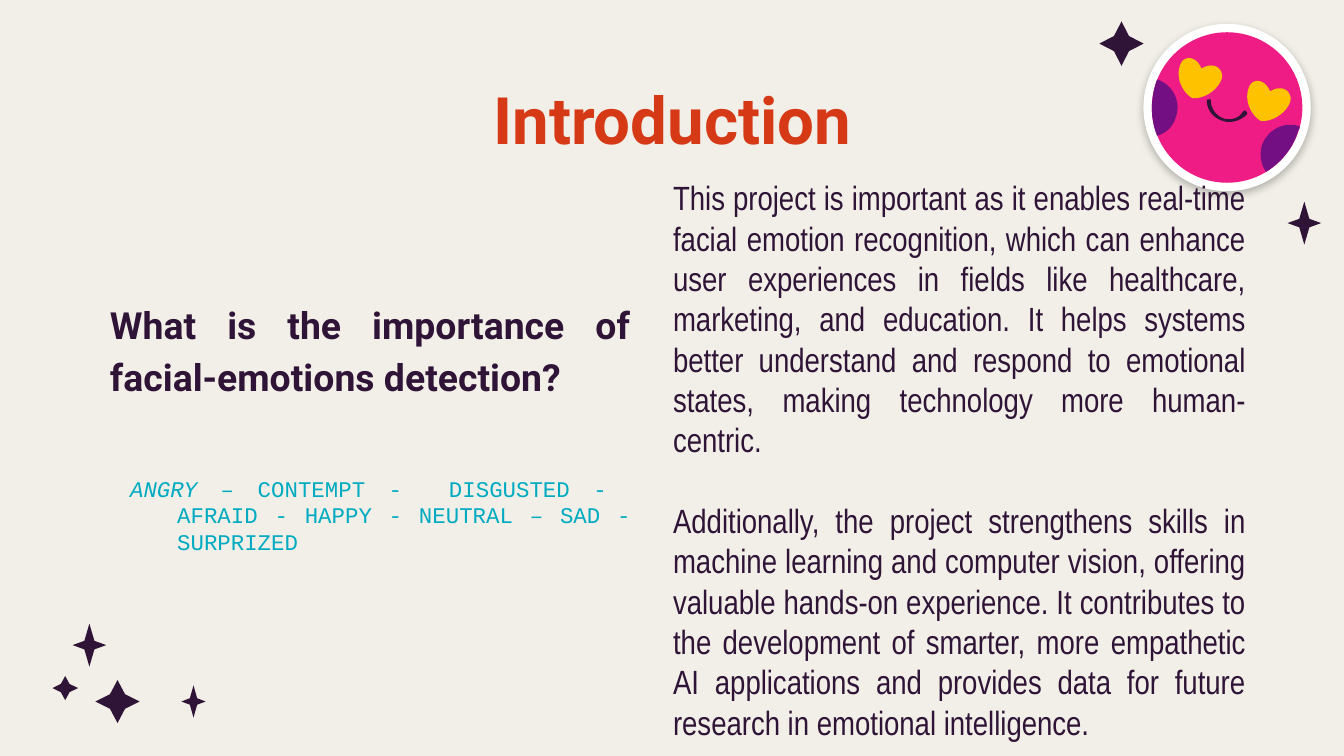
import pptx
import pptx.util
import pptx.dml.color
import pptx.enum.shapes
import pptx.enum.text
import pptx.oxml
import pptx.oxml.ns

CELL = pptx.util.Inches(0.1)
INK, TEAL, RED = "2F1437", "00ABC1", "D53915"
PINK, PLUM, GOLD = "EF1C85", "730F83", "FEC200"
ALIGN = pptx.enum.text.PP_ALIGN
ANCHOR = pptx.enum.text.MSO_ANCHOR

WIDE = (0.34, 0.34)
SLIM = (0.3, 0.2)
STARS = [
    (8.75, 52.2, 1.65, 1.6, WIDE),
    (4.85, 51.2, 0.95, 0.9, WIDE),
    (97.05, 16.6, 1.25, 1.6, SLIM),
    (6.65, 48, 1.25, 1.6, SLIM),
    (83.45, 3.25, 1.65, 1.65, WIDE),
    (14.4, 52.2, 0.9, 1.2, SLIM),
]

FACE = (91.3, 8)
SMILE = [
    (-0.3, 1),
    (-1, 0.8, -1.5, 0.2, -1.5, -0.5),
    (-1.5, -0.6, -1.4, -0.6, -1.3, -0.6),
    (-1.2, -0.6, -1.2, -0.6, -1.2, -0.5),
    (-1.2, 0.1, -0.8, 0.6, -0.3, 0.8),
    (0.3, 1, 0.9, 0.8, 1.2, 0.3),
    (1.3, 0.2, 1.4, 0.2, 1.4, 0.3),
    (1.5, 0.3, 1.5, 0.4, 1.5, 0.5),
    (1, 1, 0.3, 1.2, -0.3, 1),
]
RIGHT = [
    (2.6, 2.8),
    (2.4, 3.5, 2.5, 4.2, 2.9, 4.8),
    (4, 4.1, 4.9, 3.1, 5.3, 1.7),
    (5.4, 1.6, 5.4, 1.5, 5.4, 1.4),
    (4.2, 1, 3, 1.7, 2.6, 2.8),
]
LEFT = [
    (-5.2, -2.1),
    (-5.2, -2, -5.3, -1.9, -5.3, -1.8),
    (-5.7, -0.5, -5.7, 0.9, -5.2, 2.1),
    (-4.5, 1.9, -4, 1.4, -3.8, 0.7),
    (-3.4, -0.4, -4, -1.7, -5.2, -2.1),
]
HEART = [
    (-1.9, -2.9),
    (-2.3, -3.9, -3.3, -3.9, -3.5, -3.1),
    (-3.8, -2.3, -3.4, -1.2, -2.6, -0.7),
    (-1.7, -0.6, -0.7, -1.3, -0.4, -2.1),
    (-0.2, -2.8, -0.9, -3.5, -1.9, -2.9),
]

MOODS = [
    ("ANGRY – ", True), ("CONTEMPT -  DISGUSTED -  AFRAID", False),
    (" - ", True), ("HAPPY", False), (" - ", True), ("NEUTRAL", False),
    (" – ", True), ("SAD - SURPRIZED", False),
]
ASK = "What is the importance of facial-emotions detection?"
WHY = (
    "This project is important as it enables real-time facial emotion "
    "recognition, which can enhance user experiences in fields like "
    "healthcare, marketing, and education. It helps systems better "
    "understand and respond to emotional states, making technology more "
    "human-centric."
)
ALSO = (
    "Additionally, the project strengthens skills in machine learning and "
    "computer vision, offering valuable hands-on experience. It contributes "
    "to the development of smarter, more empathetic AI applications and "
    "provides data for future research in emotional intelligence."
)


def grid(n):
    return round(n * CELL)


def paint(fill, color):
    fill.solid()
    fill.fore_color.rgb = pptx.dml.color.RGBColor.from_string(color)


def finish(shape, color):
    shape.shadow.inherit = False
    paint(shape.fill, color)
    shape.line.fill.background()
    return shape


def outline(slide, points, color):
    dots = [(grid(x), grid(y)) for x, y in points]
    pen = slide.shapes.build_freeform(*dots[0])
    pen.add_line_segments(dots[1:], close=True)
    return finish(pen.convert_to_shape(), color)


def star(slide, x, y, wide, high, waist):
    inx, iny = wide * waist[0], high * waist[1]
    points = [(0, -high), (inx, -iny), (wide, 0), (inx, iny),
              (0, high), (-inx, iny), (-wide, 0), (-inx, -iny)]
    outline(slide, [(x + a, y + b) for a, b in points], INK)


def curve(slide, parts, color, dx=0, dy=0, steps=12):
    points = [parts[0]]
    for ax, ay, bx, by, cx, cy in parts[1:]:
        sx, sy = points[-1]
        for i in range(1, steps + 1):
            t = i / steps
            u = 1 - t
            points.append(tuple(
                u**3 * s + 3 * u * u * t * a + 3 * u * t * t * b + t**3 * c
                for s, a, b, c in ((sx, ax, bx, cx), (sy, ay, by, cy))
            ))
    outline(slide, [(x + FACE[0] + dx, y + FACE[1] + dy) for x, y in points], color)


def disc(slide, radius, color):
    x, y = FACE
    kind = pptx.enum.shapes.MSO_SHAPE.OVAL
    size = grid(2 * radius)
    shape = slide.shapes.add_shape(kind, grid(x - radius), grid(y - radius), size, size)
    return finish(shape, color)


def shade(shape):
    spot = shape._element.spPr.find(pptx.oxml.ns.qn("a:effectLst"))
    spot.append(pptx.oxml.parse_xml(
        f'<a:outerShdw {pptx.oxml.ns.nsdecls("a")} blurRad="57150" dist="19050" '
        'dir="5400000" algn="bl" rotWithShape="0"><a:srgbClr val="000000">'
        '<a:alpha val="25000"/></a:srgbClr></a:outerShdw>'
    ))


def emoji(slide):
    rim = disc(slide, 5.6, "FFFFFF")
    paint(rim.line.fill, "FFFFFF")
    rim.line.width = pptx.util.Pt(9)
    shade(rim)
    disc(slide, 5.6, PINK)
    curve(slide, SMILE, INK)
    curve(slide, RIGHT, PLUM)
    curve(slide, HEART, GOLD)
    curve(slide, HEART, GOLD, dx=5.1, dy=1.7)
    curve(slide, LEFT, PLUM)


def box(slide, x, y, wide, high, top=1, anchor=ANCHOR.TOP):
    frame = slide.shapes.add_textbox(*map(grid, (x, y, wide, high))).text_frame
    frame.word_wrap = True
    frame.vertical_anchor = anchor
    frame.margin_left = frame.margin_right = frame.margin_bottom = grid(1)
    frame.margin_top = grid(top)
    return frame


def write(para, text, size=18, font="Arial Narrow", color=INK, bold=False,
          align=ALIGN.JUSTIFY, lead=None, before=0, indent=None):
    para.alignment = align
    para.space_before = pptx.util.Pt(before)
    if lead:
        para.line_spacing = lead
    if indent:
        props = para._p.get_or_add_pPr()
        props.set("marL", str(grid(indent[0])))
        props.set("indent", str(grid(indent[1])))
    for words, slant in [(text, False)] if isinstance(text, str) else text:
        run = para.add_run()
        run.text = words
        run.font.name = font
        run.font.size = pptx.util.Pt(size)
        run.font.bold = bold
        run.font.italic = slant
        paint(run.font.fill, color)


def main():
    deck = pptx.Presentation()
    deck.slide_width, deck.slide_height = grid(100), grid(56.25)
    slide = deck.slides.add_slide(deck.slide_layouts[6])
    paint(slide.background.fill, "F1EFE7")
    for item in STARS:
        star(slide, *item)

    left = box(slide, 7.2, 17, 40.7, 27.3, top=5)
    write(left.paragraphs[0], ASK, size=20, font="Roboto", bold=True, lead=1.15)
    write(left.add_paragraph(), MOODS, size=12, font="Courier New", color=TEAL,
          lead=pptx.util.Pt(14.2), before=41, indent=(5, -3.5))

    title = box(slide, 7.9, 4.9, 84.3, 6.3)
    write(title.paragraphs[0], "Introduction", size=35, font="Roboto",
          color=RED, bold=True, align=ALIGN.CENTER)

    emoji(slide)

    right = box(slide, 49.1, 14, 44.6, 40.4, anchor=ANCHOR.MIDDLE)
    write(right.paragraphs[0], WHY)
    write(right.add_paragraph(), ALSO, before=21.6)
    deck.save("out.pptx")


if __name__ == "__main__":
    main()
